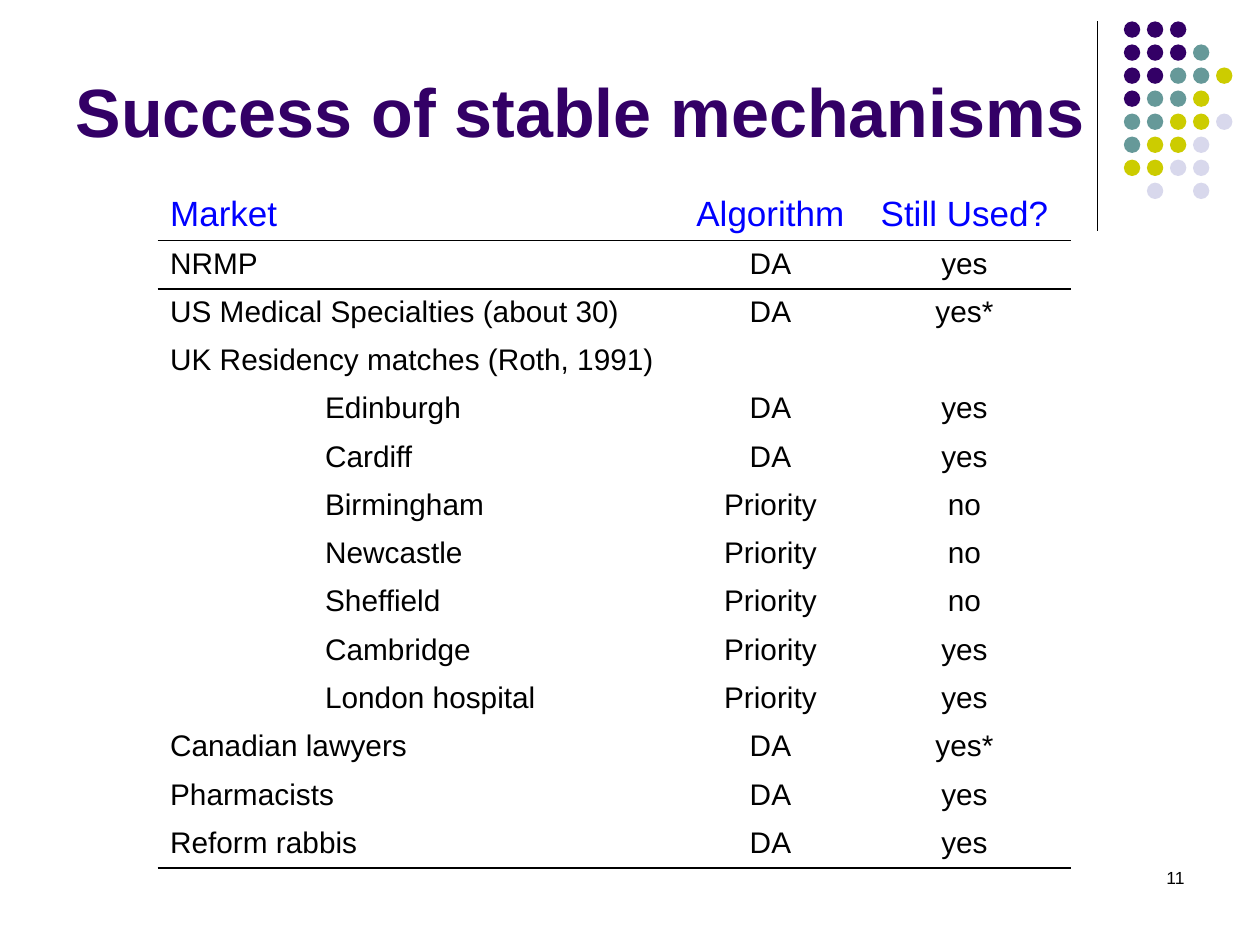
from dataclasses import dataclass

from lxml import etree
from pptx import Presentation
from pptx import util as u
from pptx.dml.color import RGBColor
from pptx.enum import shapes, text
from pptx.oxml import parse_xml
from pptx.oxml.ns import nsdecls, qn


@dataclass(frozen=True)
class Theme:
    font: str = "Arial"
    purple: str = "330066"
    teal: str = "669999"
    lime: str = "CCCC00"
    lavender: str = "D8D8EC"
    header: str = "0000FF"
    ink: str = "000000"
    title_size: int = 39
    header_size: int = 20
    body_size: int = 17
    number_size: int = 10


@dataclass(frozen=True)
class Market:
    name: str
    algorithm: str = ""
    still_used: str = ""
    indented: bool = False


THEME = Theme()
NO_STYLE = "{2D5ABB26-0587-4C30-8999-92F81FD0307C}"
CENTER, LEFT, RIGHT = text.PP_ALIGN.CENTER, text.PP_ALIGN.LEFT, text.PP_ALIGN.RIGHT

HEADER = Market("Market", "Algorithm", "Still Used?")
MARKETS = [
    Market("NRMP", "DA", "yes"),
    Market("US Medical Specialties (about 30)", "DA", "yes*"),
    Market("UK Residency matches (Roth, 1991)"),
    Market("Edinburgh", "DA", "yes", True),
    Market("Cardiff", "DA", "yes", True),
    Market("Birmingham", "Priority", "no", True),
    Market("Newcastle", "Priority", "no", True),
    Market("Sheffield", "Priority", "no", True),
    Market("Cambridge", "Priority", "yes", True),
    Market("London hospital", "Priority", "yes", True),
    Market("Canadian lawyers", "DA", "yes*"),
    Market("Pharmacists", "DA", "yes"),
    Market("Reform rabbis", "DA", "yes"),
]
COLUMN_WIDTHS = (1.23, 2.94, 1.39, 1.69)
HEADER_HEIGHT, BODY_HEIGHT = 0.4, 4.98

# One letter per dot: purple, teal, lime, lavender; "." leaves a gap.
DOT_ROWS = ("PPP", "PPPT", "PPTTL", "PTTL", "TTLLV", "TLLV", "LLVV", ".V.V")
DOT_COLORS = {"P": THEME.purple, "T": THEME.teal, "L": THEME.lime, "V": THEME.lavender}
DOT_LEFT, DOT_TOP, DOT_SIZE = 8.92, 0.17, 0.13
DOT_PITCH = 1.28 / 7


def write(frame, words: str, size: int, color: str, align=LEFT, bold: bool = False) -> None:
    para = frame.paragraphs[0]
    para.text = words
    para.alignment = align
    para.font.name = THEME.font
    para.font.size = u.Pt(size)
    para.font.bold = bold
    para.font.color.rgb = RGBColor.from_string(color)


def add_title(page, words: str) -> None:
    title = page.shapes.title
    title.left, title.top = u.Inches(0.5), u.Inches(0.13)
    title.width, title.height = u.Inches(8.25), u.Inches(1.12)
    frame = title.text_frame
    frame.auto_size = text.MSO_AUTO_SIZE.NONE
    frame.vertical_anchor = text.MSO_ANCHOR.BOTTOM
    write(frame, words, THEME.title_size, THEME.purple, bold=True)


def add_divider(page) -> None:
    x = u.Inches(8.71)
    line = page.shapes.add_connector(
        shapes.MSO_CONNECTOR.STRAIGHT, x, u.Inches(0.17), x, u.Inches(1.83))
    line.line.color.rgb = RGBColor.from_string(THEME.ink)
    line.line.width = u.Pt(0.75)
    etree.SubElement(line._element.spPr, qn("a:effectLst"))


def add_dots(page) -> None:
    group = page.shapes.add_group_shape()
    for row, letters in enumerate(DOT_ROWS):
        for column, letter in enumerate(letters):
            if letter == ".":
                continue
            dot = group.shapes.add_shape(
                shapes.MSO_SHAPE.OVAL,
                u.Inches(DOT_LEFT + column * DOT_PITCH),
                u.Inches(DOT_TOP + row * DOT_PITCH),
                u.Inches(DOT_SIZE), u.Inches(DOT_SIZE))
            dot.shadow.inherit = False
            dot.fill.solid()
            dot.fill.fore_color.rgb = RGBColor.from_string(DOT_COLORS[letter])
            dot.line.fill.background()


def add_border(cell, tag: str) -> None:
    """Rule one edge of a cell; tag is lnT or lnB."""
    cell._tc.get_or_add_tcPr().insert(0, parse_xml(
        f'<a:{tag} {nsdecls("a")} w="12700"><a:solidFill>'
        f'<a:srgbClr val="{THEME.ink}"/></a:solidFill></a:{tag}>'))


def add_market_table(page) -> None:
    entries = [HEADER, *MARKETS]
    last = len(entries) - 1
    table = page.shapes.add_table(
        len(entries), len(COLUMN_WIDTHS), u.Inches(1.25), u.Inches(1.5),
        u.Inches(sum(COLUMN_WIDTHS)), u.Inches(HEADER_HEIGHT + BODY_HEIGHT)).table
    table.first_row = table.horz_banding = False
    table._tbl.tblPr.find(qn("a:tableStyleId")).text = NO_STYLE
    for column, width in zip(table.columns, COLUMN_WIDTHS):
        column.width = u.Inches(width)

    for index, entry in enumerate(entries):
        is_header = index == 0
        table.rows[index].height = u.Inches(
            HEADER_HEIGHT if is_header else BODY_HEIGHT / len(MARKETS))
        size = THEME.header_size if is_header else THEME.body_size
        color = THEME.header if is_header else THEME.ink
        names = ("", entry.name) if entry.indented else (entry.name, "")
        for column, words in enumerate((*names, entry.algorithm, entry.still_used)):
            cell = table.cell(index, column)
            cell.fill.background()
            write(cell.text_frame, words, size, color, CENTER if column > 1 else LEFT)
            if index in (0, last):
                add_border(cell, "lnB")
            if index == 1:
                add_border(cell, "lnT")
        if not entry.indented:
            table.cell(index, 0).merge(table.cell(index, 1))


def add_page_number(page, number: int) -> None:
    box = page.shapes.add_textbox(
        u.Inches(7.17), u.Inches(6.83), u.Inches(2.33), u.Inches(0.5))
    box.text_frame.word_wrap = True
    write(box.text_frame, str(number), THEME.number_size, THEME.ink, RIGHT)


def main() -> None:
    deck = Presentation()
    deck.slide_width, deck.slide_height = u.Inches(10), u.Inches(7.5)
    page = deck.slides.add_slide(deck.slide_layouts.get_by_name("Title Only"))
    add_divider(page)
    add_dots(page)
    add_title(page, "Success of stable mechanisms")
    add_market_table(page)
    add_page_number(page, 11)
    deck.save("out.pptx")


if __name__ == "__main__":
    main()
